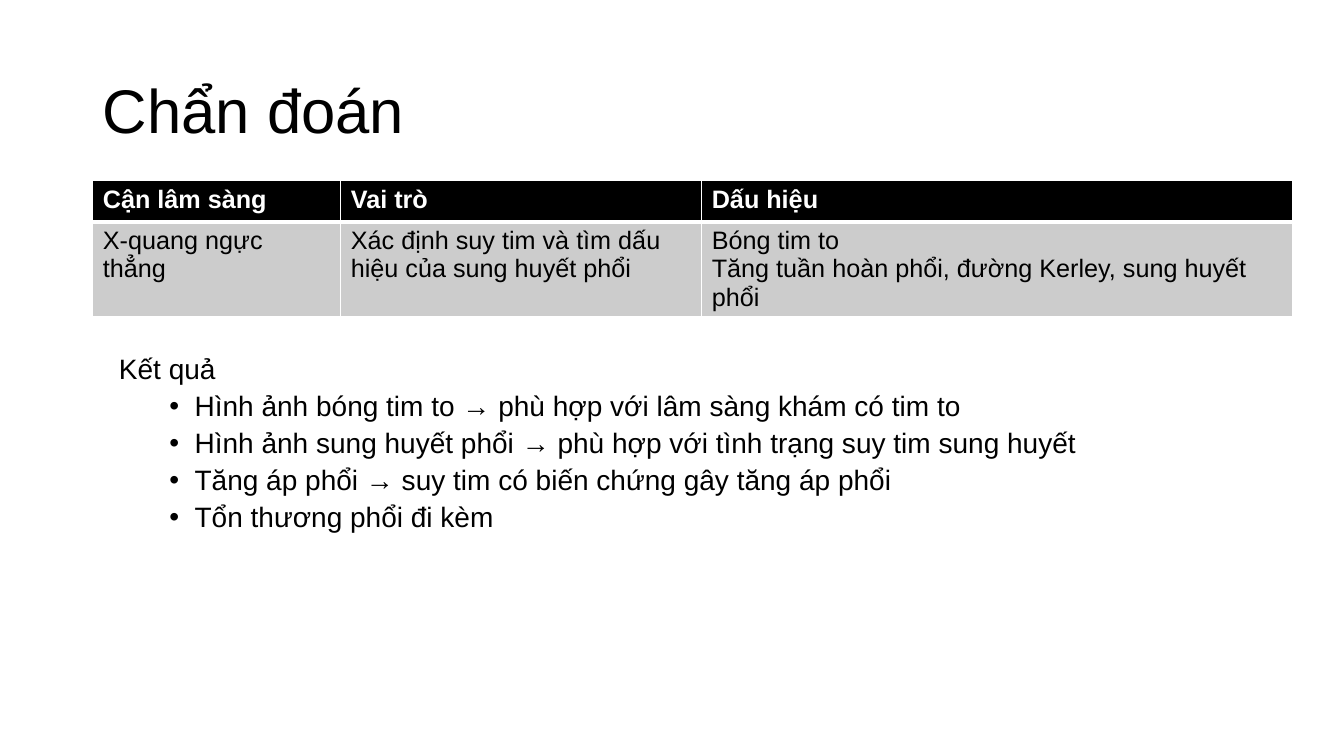
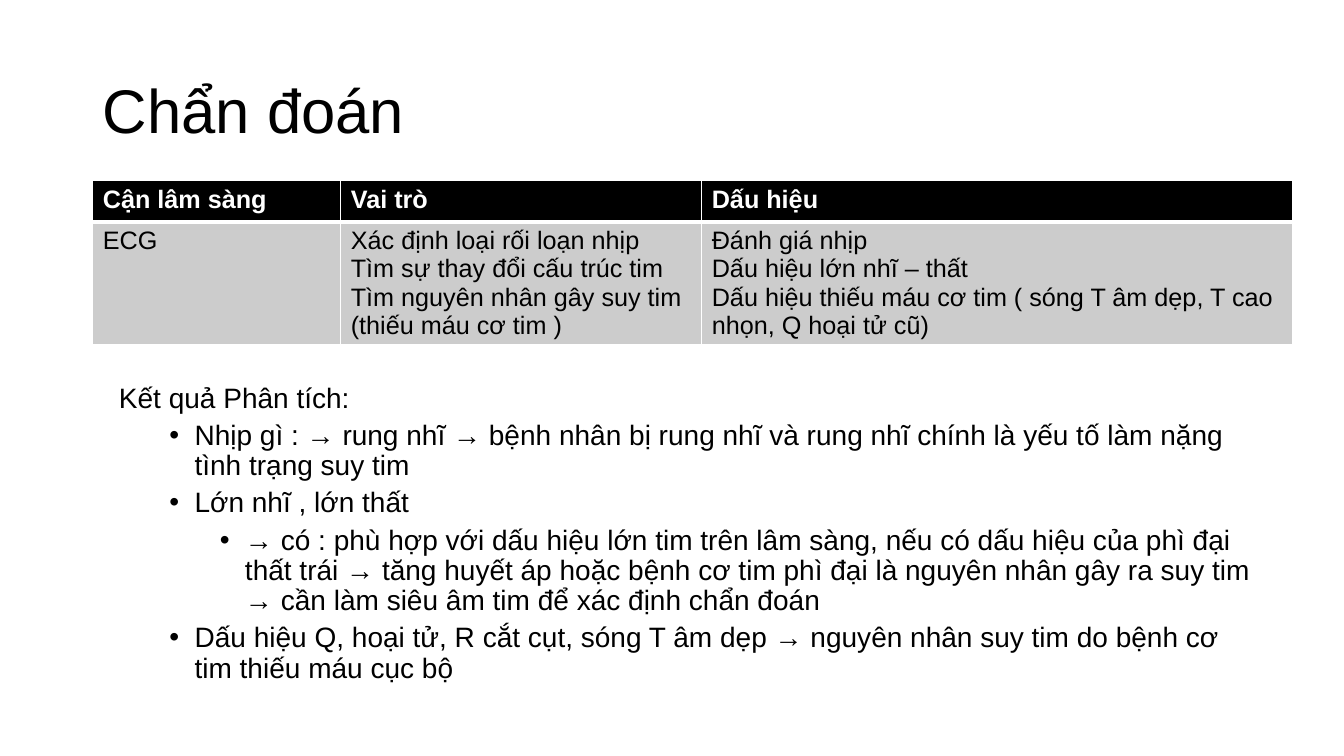
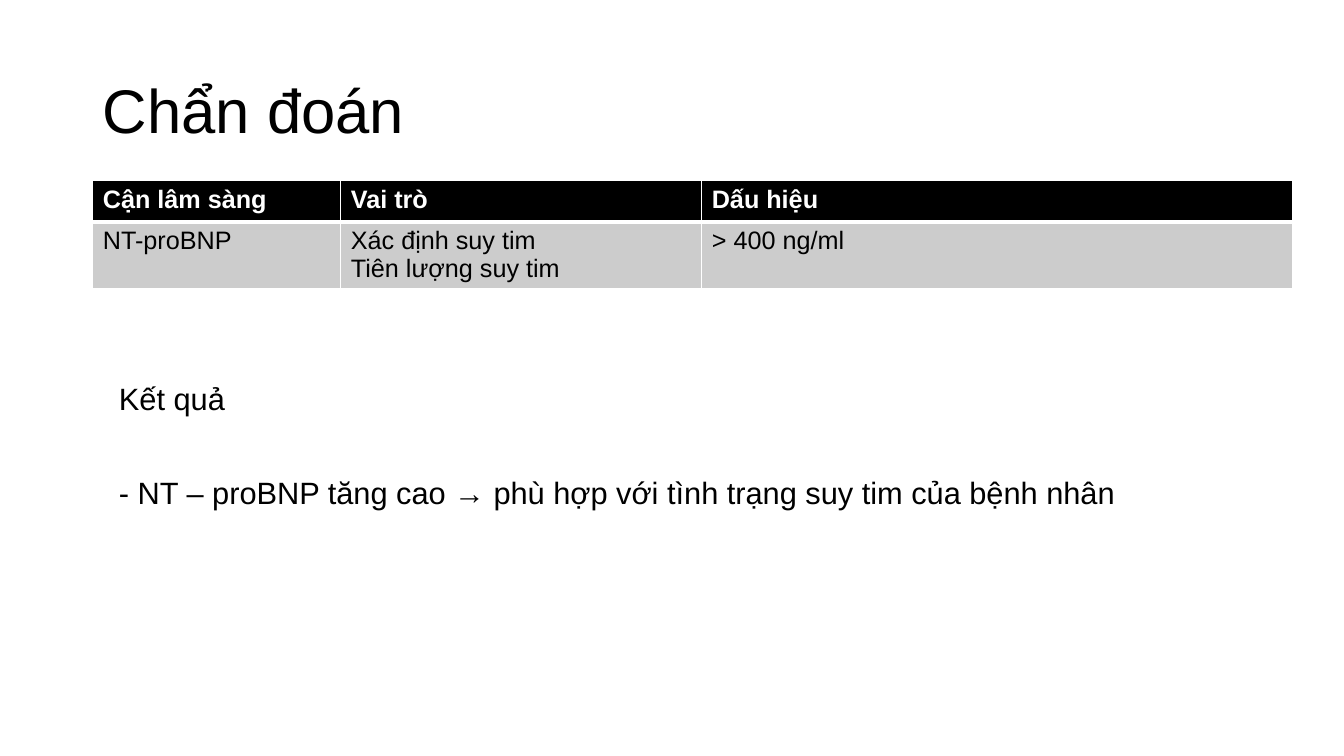
"""Build three diagnosis slides, each with a findings table and a list of results."""
from lxml import etree
from pptx import Presentation
from pptx import util as u
from pptx.dml.color import RGBColor
from pptx.enum import text
from pptx.oxml.ns import qn

COLORS = {"ink": "000000", "paper": "FFFFFF", "band": "CCCCCC"}
FONT = "Arial"
TITLE = "Chẩn đoán"
HEADERS = ["Cận lâm sàng", "Vai trò", "Dấu hiệu"]
COLUMN_WIDTHS = [2.46, 3.58, 5.86]
ROW_HEIGHT = 0.41
ROW_STYLES = [
    {"fill": "band", "ink": "ink", "bold": False, "edges": {"L": 1, "R": 1, "T": 3, "B": 1}},
    {"fill": "ink", "ink": "paper", "bold": True, "edges": {"L": 1, "R": 1, "T": 1, "B": 3}},
]

SLIDES = [
    {
        "row": [
            ["X-quang ngực thẳng"],
            ["Xác định suy tim và tìm dấu hiệu của sung huyết phổi"],
            ["Bóng tim to", "Tăng tuần hoàn phổi, đường Kerley, sung huyết phổi"],
        ],
        "top": 3.47, "size": 20, "gap": 5,
        "results": [
            (0, "Kết quả"),
            (1, "Hình ảnh bóng tim to → phù hợp với lâm sàng khám có tim to"),
            (1, "Hình ảnh sung huyết phổi → phù hợp với tình trạng suy tim sung huyết"),
            (1, "Tăng áp phổi → suy tim có biến chứng gây tăng áp phổi"),
            (1, "Tổn thương phổi đi kèm"),
        ],
    },
    {
        "row": [
            ["ECG"],
            ["Xác định loại rối loạn nhịp", "Tìm sự thay đổi cấu trúc tim",
             "Tìm nguyên nhân gây suy tim (thiếu máu cơ tim )"],
            ["Đánh giá nhịp", "Dấu hiệu lớn nhĩ – thất",
             "Dấu hiệu thiếu máu cơ tim ( sóng T âm dẹp, T cao nhọn, Q hoại tử cũ)"],
        ],
        "top": 3.76, "size": 20, "gap": 5,
        "results": [
            (0, "Kết quả Phân tích:"),
            (1, "Nhịp gì : → rung nhĩ → bệnh nhân bị rung nhĩ và rung nhĩ chính là "
                "yếu tố làm nặng tình trạng suy tim"),
            (1, "Lớn nhĩ , lớn thất"),
            (2, "→ có : phù hợp với dấu hiệu lớn tim trên lâm sàng, nếu có dấu hiệu của "
                "phì đại thất trái → tăng huyết áp hoặc bệnh cơ tim phì đại là nguyên nhân "
                "gây ra suy tim → cần làm siêu âm tim để xác định chẩn đoán"),
            (1, "Dấu hiệu Q, hoại tử, R cắt cụt, sóng T âm dẹp → nguyên nhân suy tim "
                "do bệnh cơ tim thiếu máu cục bộ"),
        ],
    },
    {
        "row": [
            ["NT-proBNP"],
            ["Xác định suy tim", "Tiên lượng suy tim"],
            ["> 400 ng/ml"],
        ],
        "top": 3.76, "size": 22, "gap": 43,
        "results": [
            (0, "Kết quả"),
            (0, "- NT – proBNP tăng cao → phù hợp với tình trạng suy tim của bệnh nhân"),
        ],
    },
]


def write(paragraph, content, size, color="ink", bold=False, **layout):
    """Fill a paragraph with one formatted run."""
    for name, value in layout.items():
        setattr(paragraph, name, value)
    run = paragraph.add_run()
    run.text = content
    for name, value in {"name": FONT, "size": u.Pt(size), "bold": bold}.items():
        setattr(run.font, name, value)
    run.font.color.rgb = RGBColor.from_string(COLORS[color])


def place(shape, left, top, width, height, anchor):
    """Move a placeholder and fix its text frame."""
    for name, value in zip(("left", "top", "width", "height"), (left, top, width, height)):
        setattr(shape, name, u.Inches(value))
    frame = shape.text_frame
    for name, value in {"word_wrap": True, "auto_size": text.MSO_AUTO_SIZE.NONE,
                        "vertical_anchor": anchor}.items():
        setattr(frame, name, value)
    return frame


presentation = Presentation()
presentation.slide_width = u.Inches(13.33)
presentation.slide_height = u.Inches(7.5)

for content in SLIDES:
    slide = presentation.slides.add_slide(presentation.slide_layouts[1])
    title, body = slide.placeholders

    frame = place(title, 0.92, 0.4, 11.5, 1.45, text.MSO_ANCHOR.MIDDLE)
    write(frame.paragraphs[0], TITLE, 44, alignment=text.PP_ALIGN.LEFT, line_spacing=0.9)

    table = slide.shapes.add_table(
        2, len(HEADERS), u.Inches(0.92), u.Inches(1.79),
        u.Inches(sum(COLUMN_WIDTHS)), u.Inches(2 * ROW_HEIGHT)).table
    for column, width in zip(table.columns, COLUMN_WIDTHS):
        column.width = u.Inches(width)

    rows = [[[header] for header in HEADERS], content["row"]]
    for row_index, row in enumerate(rows):
        style = ROW_STYLES[row_index == 0]
        for column_index, lines in enumerate(row):
            cell = table.cell(row_index, column_index)
            properties = cell._tc.get_or_add_tcPr()
            for edge, width in style["edges"].items():
                line = etree.SubElement(properties, qn(f"a:ln{edge}"), w=str(u.Pt(width)))
                fill = etree.SubElement(line, qn("a:solidFill"))
                etree.SubElement(fill, qn("a:srgbClr"), val=COLORS["paper"])
            cell.fill.solid()
            cell.fill.fore_color.rgb = RGBColor.from_string(COLORS[style["fill"]])
            for index, words in enumerate(lines):
                frame = cell.text_frame
                paragraph = frame.add_paragraph() if index else frame.paragraphs[0]
                write(paragraph, words, 18, style["ink"], style["bold"])

    frame = place(body, 1.08, content["top"], 11.5, 6.92 - content["top"], text.MSO_ANCHOR.TOP)
    for index, (level, words) in enumerate(content["results"]):
        paragraph = frame.add_paragraph() if index else frame.paragraphs[0]
        properties = paragraph._p.get_or_add_pPr()
        properties.set("marL", str(u.Inches(0.25 + 0.5 * level if level else 0)))
        properties.set("indent", str(u.Inches(-0.25 if level else 0)))
        if level:
            etree.SubElement(properties, qn("a:buFont"), typeface=FONT)
            etree.SubElement(properties, qn("a:buChar"), char="•")
        else:
            etree.SubElement(properties, qn("a:buNone"))
        write(paragraph, words, content["size"], level=level, line_spacing=0.9,
              space_before=u.Pt(content["gap"] if index else 0))

presentation.save("out.pptx")
